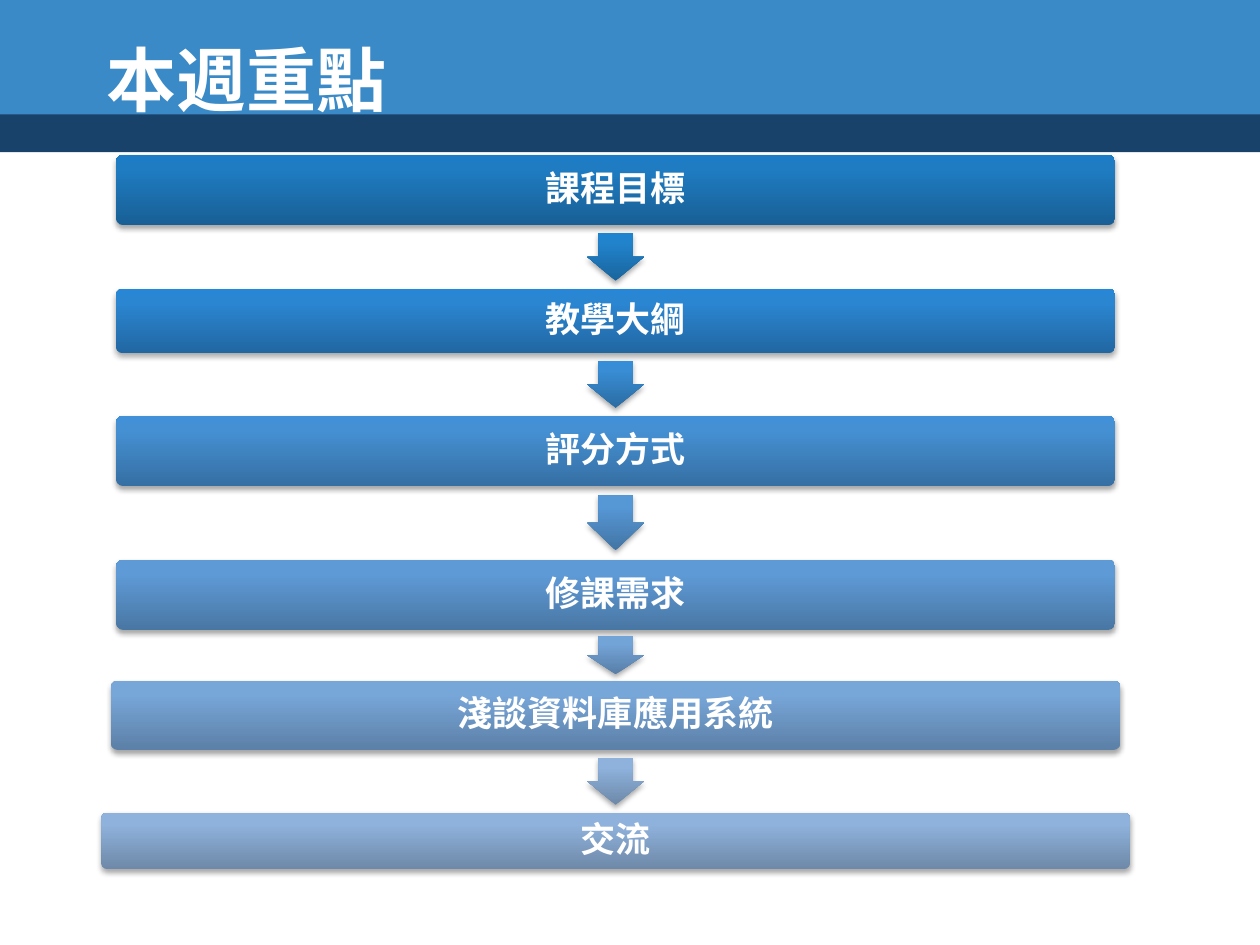
from dataclasses import dataclass
from itertools import pairwise

from lxml import etree
from pptx import Presentation
from pptx import util as u
from pptx.dml.color import RGBColor
from pptx.enum import shapes, text
from pptx.oxml import parse_xml
from pptx.oxml.ns import nsdecls, qn

WHITE = RGBColor(0xFF, 0xFF, 0xFF)
NAVY = RGBColor(0x19, 0x42, 0x6B)
BLUE = RGBColor(0x39, 0x8A, 0xC7)
TITLE_FONT = "Noto Sans CJK SC"
LABEL_FONT = "DejaVu Sans"

CENTRE = 12.41        # all lengths below are in centimetres
ARROW_BREADTH = 1.14
ARROW_SHARE = 0.75    # part of the gap between two boxes
TEXT_MARGIN = 0.04
STOPS = (0, 80, 100)  # gradient positions, from the bottom up


@dataclass(frozen=True)
class Step:
    label: str
    top: float
    height: float
    width: float
    colours: tuple[RGBColor, ...]

    @property
    def bottom(self) -> float:
        return self.top + self.height


def ramp(*codes: str) -> tuple[RGBColor, ...]:
    return tuple(RGBColor.from_string(code) for code in codes)


STEPS = (
    Step("課程目標", 3.12, 1.42, 20.14, ramp("185F95", "1F7CC2", "1C7DC6")),
    Step("教學大綱", 5.82, 1.3, 20.14, ramp("2167A2", "2B86D2", "2787D6")),
    Step("評分方式", 8.38, 1.42, 20.14, ramp("356FA3", "4590D3", "4290D7")),
    Step("修課需求", 11.28, 1.42, 20.14, ramp("4977A4", "5E9AD6", "5C9BD9")),
    Step("淺談資料庫應用系統", 13.72, 1.4, 20.35, ramp("5C80A7", "77A6D8", "76A6DB")),
    Step("交流", 16.38, 1.14, 20.73, ramp("6E89A9", "8FB2DC", "8EB3DE")),
)
ARROW_COLOURS = (
    ramp("19659D", "2183CC", "1E84D0"),
    ramp("2B6CA3", "388DD4", "368ED8"),
    ramp("4275A4", "5697D6", "5498D9"),
    ramp("587EA7", "73A4D8", "71A5DB"),
    ramp("6D89A9", "8EB2DC", "8DB2DF"),
)


def write(para, words: str, size: float, font: str) -> None:
    span = para.add_run()
    span.text = words
    span.font.size = u.Pt(size)
    span.font.bold = True
    span.font.name = font
    span.font.color.rgb = WHITE
    east_asian = etree.SubElement(span.font._element, qn("a:ea"))
    east_asian.set("typeface", font)


def style(shape, colours: tuple[RGBColor, ...]) -> None:
    """Give a shape an upright gradient and a soft shadow, without outline."""
    shape.line.fill.background()
    stops = "".join(
        f'<a:gs pos="{pos * 1000}"><a:srgbClr val="{colour}"/></a:gs>'
        for pos, colour in zip(STOPS, colours)
    )
    properties = shape._element.spPr
    properties.find(qn("a:ln")).addprevious(parse_xml(
        f'<a:gradFill {nsdecls("a")} rotWithShape="0"><a:gsLst>{stops}</a:gsLst>'
        '<a:lin ang="16200000" scaled="0"/></a:gradFill>'
    ))
    properties.append(parse_xml(
        f'<a:effectLst {nsdecls("a")}>'
        '<a:outerShdw blurRad="40000" dist="23000" dir="5400000" rotWithShape="0">'
        '<a:srgbClr val="000000"><a:alpha val="35000"/></a:srgbClr>'
        '</a:outerShdw></a:effectLst>'
    ))


def add_band(page, top: float, height: float, colour: RGBColor):
    band = page.shapes.add_shape(
        shapes.MSO_SHAPE.RECTANGLE, 0, u.Cm(top), u.Cm(25.4), u.Cm(height))
    band.shadow.inherit = False
    band.fill.solid()
    band.fill.fore_color.rgb = colour
    band.line.fill.background()
    return band


def add_step(group, step: Step) -> None:
    left = CENTRE - step.width / 2
    box = group.shapes.add_shape(
        shapes.MSO_SHAPE.ROUNDED_RECTANGLE,
        u.Cm(left), u.Cm(step.top), u.Cm(step.width), u.Cm(step.height))
    box.adjustments[0] = 0.1
    style(box, step.colours)

    label = group.shapes.add_textbox(
        u.Cm(left + TEXT_MARGIN), u.Cm(step.top + TEXT_MARGIN),
        u.Cm(step.width - 2 * TEXT_MARGIN), u.Cm(step.height - 2 * TEXT_MARGIN))
    frame = label.text_frame
    frame.word_wrap = True
    frame.vertical_anchor = text.MSO_ANCHOR.MIDDLE
    frame.margin_left = frame.margin_right = u.Cm(0.2)
    frame.margin_top = frame.margin_bottom = u.Cm(0.2)
    para = frame.paragraphs[0]
    para.alignment = text.PP_ALIGN.CENTER
    para.line_spacing = 0.9
    para.space_after = u.Pt(7)
    write(para, step.label, 20, LABEL_FONT)


def add_arrow(group, above: Step, below: Step, colours: tuple[RGBColor, ...]) -> None:
    length = ARROW_SHARE * (below.top - above.bottom)
    middle = (above.bottom + below.top) / 2
    arrow = group.shapes.add_shape(
        shapes.MSO_SHAPE.RIGHT_ARROW,
        u.Cm(CENTRE - length / 2), u.Cm(middle - ARROW_BREADTH / 2),
        u.Cm(length), u.Cm(ARROW_BREADTH))
    arrow.rotation = 90
    arrow.adjustments[0] = 0.6
    arrow.adjustments[1] = 0.5
    style(arrow, colours)


def main() -> None:
    deck = Presentation()
    deck.slide_width, deck.slide_height = u.Cm(25.4), u.Cm(19.05)
    page = deck.slides.add_slide(deck.slide_layouts[5])

    # Header bands, with the title in front of them
    add_band(page, 2.21, 0.86, NAVY)
    add_band(page, 0, 2.31, BLUE)
    title = page.shapes.title
    page.shapes._spTree.append(title._element)
    title.left, title.top = u.Cm(1.9), u.Cm(0)
    title.width, title.height = u.Cm(21.6), u.Cm(3.18)
    title.text_frame.vertical_anchor = text.MSO_ANCHOR.MIDDLE
    para = title.text_frame.paragraphs[0]
    para.alignment = text.PP_ALIGN.LEFT
    write(para, "本週重點", 40, TITLE_FONT)

    # Flow of topics
    flow = page.shapes.add_group_shape()
    for step in STEPS:
        add_step(flow, step)
    for (above, below), colours in zip(pairwise(STEPS), ARROW_COLOURS):
        add_arrow(flow, above, below, colours)

    deck.save("out.pptx")


if __name__ == "__main__":
    main()
